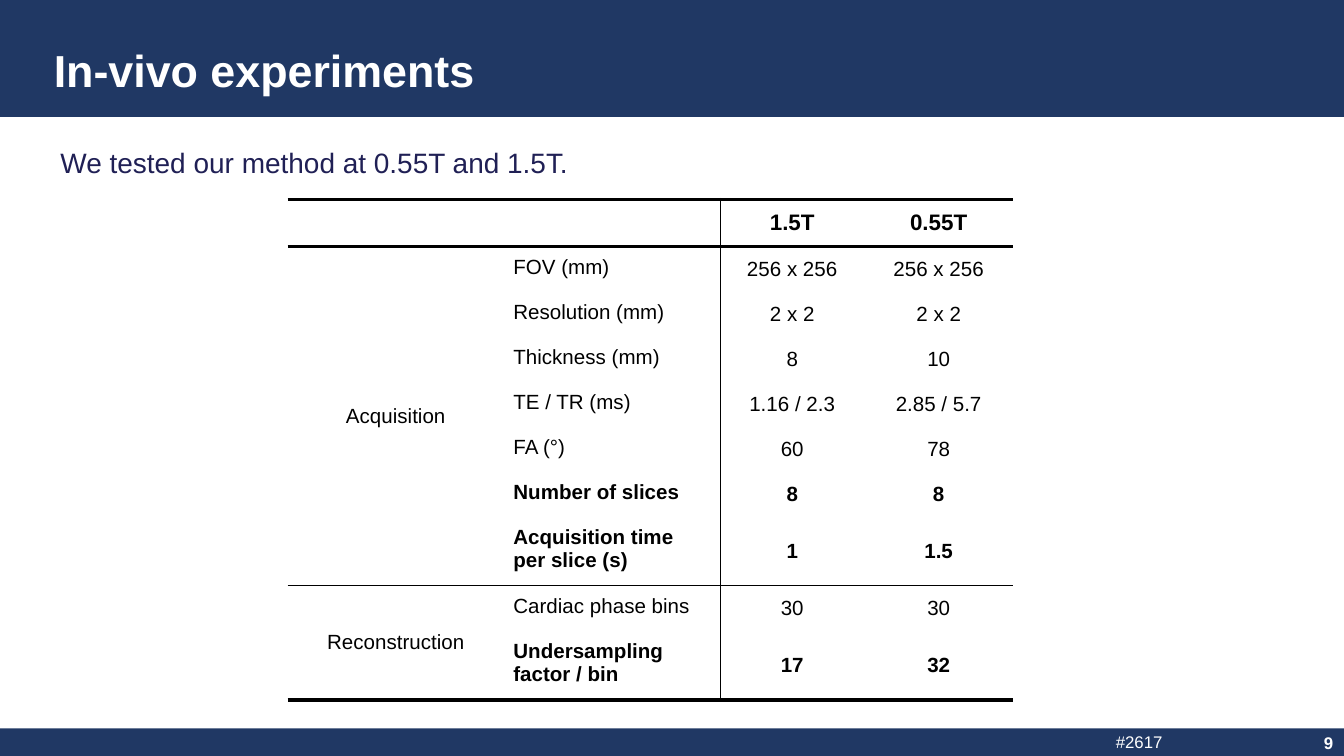
from lxml.etree import SubElement
from pptx import Presentation
from pptx.dml.color import RGBColor
from pptx.enum.shapes import MSO_SHAPE
from pptx.enum.text import MSO_ANCHOR as Anchor, MSO_AUTO_SIZE as AutoSize, PP_ALIGN as Align
from pptx.oxml.ns import qn
from pptx.util import Emu, Pt

SCALE = 4572
COLORS = {"navy": "203864", "ink": "202055", "black": "000000", "white": "FFFFFF"}
FONT = "Arial"

COLUMNS = [322, 322, 214, 222]
HEADER_HEIGHT, ROW_HEIGHT, TALL_HEIGHT = 70, 67, 103
ROWS = [
    ("", "", "1.5T", "0.55T"),
    ("Acquisition", "FOV (mm)", "256 x 256", "256 x 256"),
    ("", "Resolution (mm)", "2 x 2", "2 x 2"),
    ("", "Thickness (mm)", "8", "10"),
    ("", "TE / TR (ms)", "1.16 / 2.3", "2.85 / 5.7"),
    ("", "FA (°)", "60", "78"),
    ("", "Number of slices", "8", "8"),
    ("", "Acquisition time per slice (s)", "1", "1.5"),
    ("Reconstruction", "Cardiac phase bins", "30", "30"),
    ("", "Undersampling factor / bin", "17", "32"),
]
BOLD_ROWS = {0, 6, 7, 9}
TALL_ROWS = {7, 9}
GROUPS = [(1, 7), (8, 9)]
ROW_RULES = {0: 2.25, 1: 2.25, 8: 0.75, 10: 2.25}
COLUMN_RULES = {2: 0.75}


def px(value):
    return Emu(value * SCALE)


def color(name):
    return RGBColor.from_string(COLORS[name])


def write(frame, text, size, ink, bold=False, align=Align.LEFT):
    para = frame.paragraphs[0]
    para.text = text
    para.alignment = align
    font = para.font
    font.name, font.size, font.bold = FONT, Pt(size), bold
    font.color.rgb = color(ink)


def set_insets(frame, top=8):
    frame.margin_left = frame.margin_right = px(14)
    frame.margin_top, frame.margin_bottom = px(top), px(8)


def add_bar(page, left, top, width, height):
    bar = page.shapes.add_shape(MSO_SHAPE.RECTANGLE, px(left), px(top), px(width), px(height))
    bar.shadow.inherit = False
    bar.fill.solid()
    bar.fill.fore_color.rgb = color("navy")
    bar.line.fill.background()
    return bar


def add_text(page, left, top, width, height, text, size, ink, bold=False):
    box = page.shapes.add_textbox(px(left), px(top), px(width), px(height))
    box.text_frame.word_wrap = True
    set_insets(box.text_frame)
    write(box.text_frame, text, size, ink, bold)


def add_header(page, left, top, width, height):
    bar = add_bar(page, left, top, width, height)
    title = page.shapes.title
    title.element.addprevious(bar.element)
    title.left, title.top = px(left + 66), px(top + 50)
    title.width, title.height = px(width - 166), px(76)
    frame = title.text_frame
    frame.auto_size = AutoSize.NONE
    frame.vertical_anchor = Anchor.TOP
    set_insets(frame, 14)
    write(frame, "In-vivo experiments", 24, "white", True)


def add_footer(page, left, top, width, height):
    frame = add_bar(page, left, top, width, height).text_frame
    frame.vertical_anchor = Anchor.MIDDLE
    set_insets(frame)
    frame.margin_right = px(270)
    write(frame, "#2617", 9, "white", align=Align.RIGHT)
    add_text(page, left + 1956, top - 2, 60, height, "9", 9, "white", True)


def set_borders(cell, row, column):
    bottom = row + (cell.span_height if cell.is_merge_origin else 1)
    edges = {
        "L": COLUMN_RULES.get(column),
        "R": COLUMN_RULES.get(column + 1),
        "T": ROW_RULES.get(row),
        "B": ROW_RULES.get(bottom),
    }
    properties = cell._tc.get_or_add_tcPr()
    for side, points in edges.items():
        line = SubElement(properties, qn(f"a:ln{side}"), w=str(Pt(points or 0)))
        if points:
            fill = SubElement(line, qn("a:solidFill"))
            SubElement(fill, qn("a:srgbClr"), val=COLORS["black"])
        else:
            SubElement(line, qn("a:noFill"))


def format_cell(cell, row, column, text):
    set_borders(cell, row, column)
    cell.fill.background()
    is_label = column == 1
    cell.vertical_anchor = Anchor.TOP if is_label else Anchor.MIDDLE
    cell.margin_left = cell.margin_right = px(14)
    cell.margin_top = cell.margin_bottom = px(14 if text else 0)
    write(cell.text_frame, text, 11 if row else 12, "black",
          row in BOLD_ROWS and column > 0, Align.LEFT if is_label else Align.CENTER)


def add_parameters(page, left, top):
    heights = [HEADER_HEIGHT] + [
        TALL_HEIGHT if row in TALL_ROWS else ROW_HEIGHT for row in range(1, len(ROWS))]
    table = page.shapes.add_table(len(ROWS), len(COLUMNS), px(left), px(top),
                                  px(sum(COLUMNS)), px(sum(heights))).table
    table.first_row = table.horz_banding = False
    for column, width in zip(table.columns, COLUMNS):
        column.width = px(width)
    for row, height in zip(table.rows, heights):
        row.height = px(height)
    for first, last in GROUPS:
        table.cell(first, 0).merge(table.cell(last, 0))
    for row, texts in enumerate(ROWS):
        for column, text in enumerate(texts):
            format_cell(table.cell(row, column), row, column, text)


def main():
    deck = Presentation()
    deck.slide_width, deck.slide_height = px(2000), px(1125)
    page = deck.slides.add_slide(deck.slide_layouts[5])
    add_header(page, 0, 0, 2000, 174)
    add_footer(page, 0, 1084, 2000, 41)
    add_text(page, 76, 208, 1848, 66, "We tested our method at 0.55T and 1.5T.", 15, "ink")
    add_parameters(page, 428, 297)
    deck.save("out.pptx")


if __name__ == "__main__":
    main()
